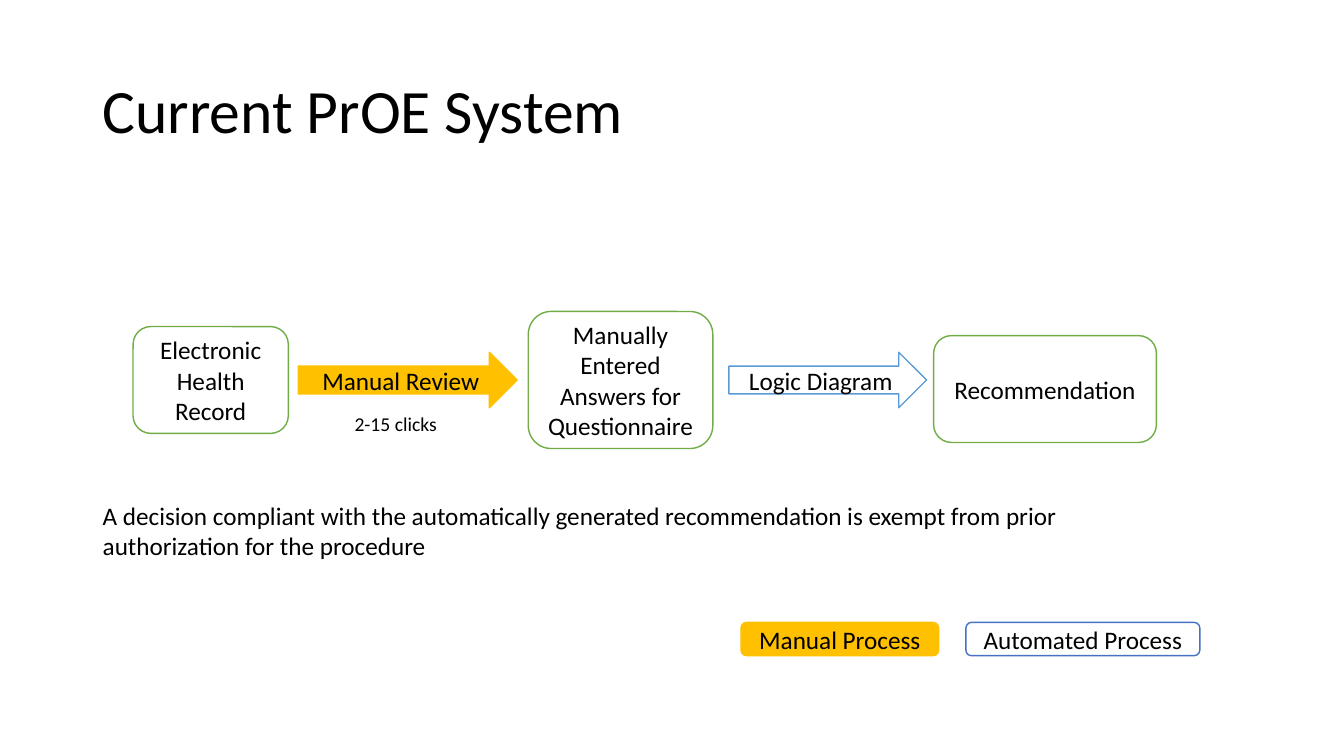
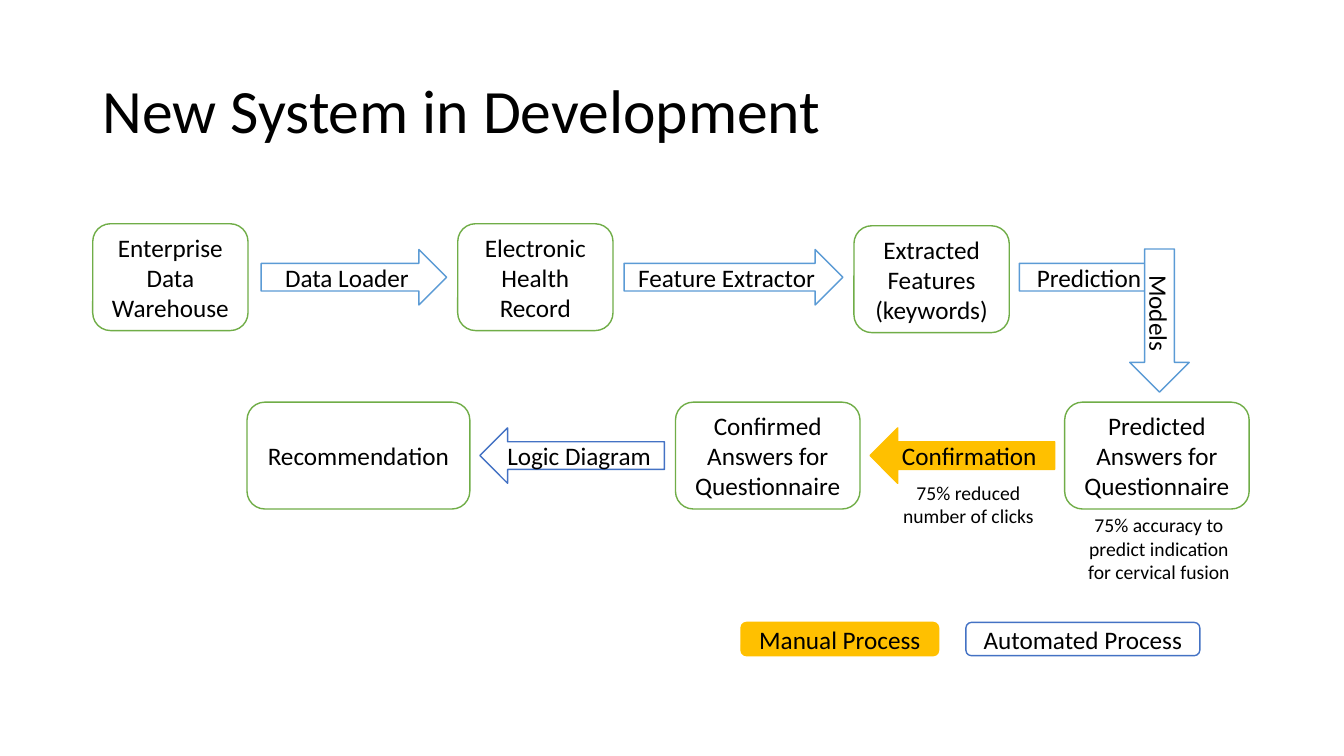
from pptx import Presentation
from pptx.dml.color import RGBColor
from pptx.enum.shapes import MSO_SHAPE
from pptx.enum.text import MSO_ANCHOR, PP_ALIGN
from pptx.util import Inches, Pt

FONT = "Calibri"
BLACK, WHITE = "000000", "FFFFFF"
GREEN, GOLD, SKY, BLUE = "70AD47", "FFC000", "5B9BD5", "4472C4"

BOX, RIGHT, LEFT = (MSO_SHAPE.ROUNDED_RECTANGLE, MSO_SHAPE.RIGHT_ARROW,
                    MSO_SHAPE.LEFT_ARROW)
# style: preset, fill, line, usual height
STYLES = {
    "data": (BOX, WHITE, GREEN, 1.06),
    "manual": (RIGHT, GOLD, GOLD, 0.55),
    "auto": (RIGHT, WHITE, SKY, 0.55),
    "manual back": (LEFT, GOLD, GOLD, 0.55),
    "auto back": (LEFT, None, BLUE, 0.55),
    "manual key": (BOX, GOLD, GOLD, 0.33),
    "auto key": (BOX, None, BLUE, 0.33),
}

# step: style, text, left, width, middle, extra options
LEGEND = [
    ("manual key", "Manual Process", 7.35, 1.96, 6.34, {}),
    ("auto key", "Automated Process", 9.58, 2.32, 6.34, {}),
]
ROW, TOP, LOW = 3.77, 2.75, 4.52
SLIDES = [
    {
        "title": "Current PrOE System",
        "steps": [
            ("data", "Electronic Health Record", 1.32, 1.54, ROW, {}),
            ("manual", "Manual Review", 2.96, 2.17, ROW, {}),
            ("data", "Manually Entered Answers for Questionnaire",
             5.24, 1.83, ROW, {"height": 1.36}),
            ("auto", "Logic Diagram", 7.23, 1.96, ROW, {}),
            ("data", "Recommendation", 9.26, 2.21, 3.86, {}),
        ],
        # note: text, position and size, format
        "notes": [
            ("2-15 clicks", (3.07, 4.04, 1.71, 0.34), {}),
            ("A decision compliant with the automatically generated "
             "recommendation is exempt from prior authorization for the "
             "procedure", (0.92, 4.91, 10.55, 0.71),
             {"size": 18, "align": PP_ALIGN.LEFT}),
        ],
    },
    {
        "title": "New System in Development",
        "steps": [
            ("data", "Enterprise Data Warehouse", 0.92, 1.54, TOP, {}),
            ("auto", "Data Loader", 2.59, 1.84, TOP, {}),
            ("data", "Electronic Health Record", 4.54, 1.54, TOP, {}),
            ("auto", "Feature Extractor", 6.19, 2.17, TOP, {}),
            ("data", "Extracted Features (keywords)", 8.47, 1.54, 2.77, {}),
            ("auto", "Prediction", 10.11, 1.52, TOP, {}),
            ("auto", "Models", 10.79, 1.42, 3.18,
             {"height": 0.59, "turn": 90}),
            ("data", "Predicted Answers for Questionnaire",
             10.56, 1.83, LOW, {}),
            ("manual back", "Confirmation", 8.63, 1.83, LOW, {}),
            ("data", "Confirmed Answers for Questionnaire",
             6.7, 1.83, LOW, {}),
            ("auto back", "Logic Diagram", 4.76, 1.83, LOW, {}),
            ("data", "Recommendation", 2.45, 2.21, LOW, {}),
        ],
        "notes": [
            ("75% reduced number of clicks", (8.75, 4.72, 1.71, 0.57), {}),
            ("75% accuracy to predict indication for cervical fusion",
             (10.64, 5.04, 1.71, 0.81), {}),
        ],
    },
]


def color(code):
    return RGBColor.from_string(code)


def write(shape, text, size=18, align=PP_ALIGN.CENTER,
          anchor=MSO_ANCHOR.MIDDLE, spacing=None):
    frame = shape.text_frame
    frame.word_wrap = True
    frame.vertical_anchor = anchor
    para = frame.paragraphs[0]
    para.alignment = align
    if spacing:
        para.line_spacing = spacing
    run = para.add_run()
    run.text = text
    run.font.name = FONT
    run.font.size = Pt(size)
    run.font.color.rgb = color(BLACK)


def add_text(slide, text, place, **style):
    write(slide.shapes.add_textbox(*map(Inches, place)), text, **style)


def add_step(slide, style, text, left, width, middle, height=None, turn=0):
    """Draw a box or arrow centred vertically on middle."""
    preset, fill, line, usual = STYLES[style]
    height = height or usual
    place = (left, middle - height / 2, width, height)
    shape = slide.shapes.add_shape(preset, *map(Inches, place))
    shape.shadow.inherit = False
    shape.rotation = turn
    if fill:
        shape.fill.solid()
        shape.fill.fore_color.rgb = color(fill)
    else:
        shape.fill.background()
    shape.line.color.rgb = color(line)
    shape.line.width = Pt(1)
    write(shape, text)


def add_slide(deck, title, steps, notes):
    slide = deck.slides.add_slide(deck.slide_layouts[6])
    add_text(slide, title, (0.92, 0.4, 11.5, 1.45), size=44,
             align=PP_ALIGN.LEFT, spacing=0.9)
    for *step, extra in steps + LEGEND:
        add_step(slide, *step, **extra)
    for text, place, style in notes:
        add_text(slide, text, place,
                 **{"size": 14, "anchor": MSO_ANCHOR.TOP, **style})


def main():
    deck = Presentation()
    deck.slide_width, deck.slide_height = Inches(13.33), Inches(7.5)
    for page in SLIDES:
        add_slide(deck, **page)
    deck.save("out.pptx")


if __name__ == "__main__":
    main()
